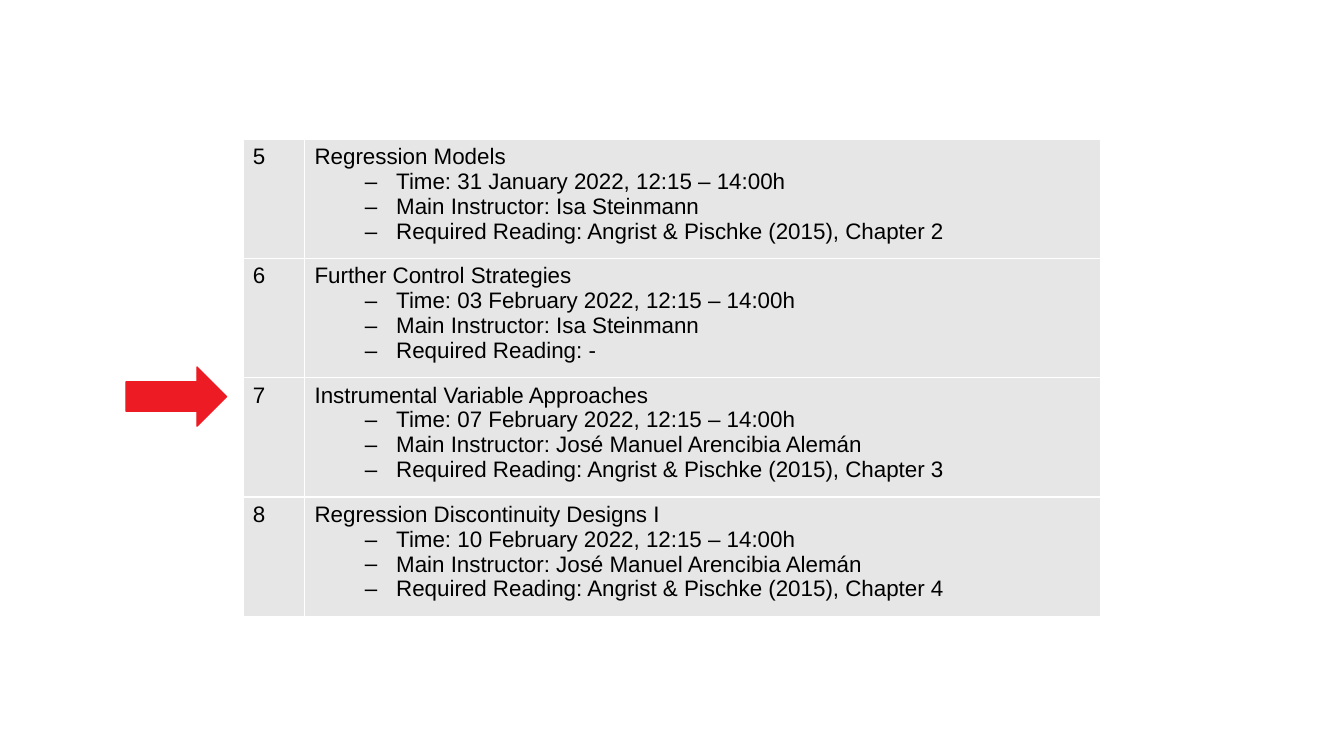
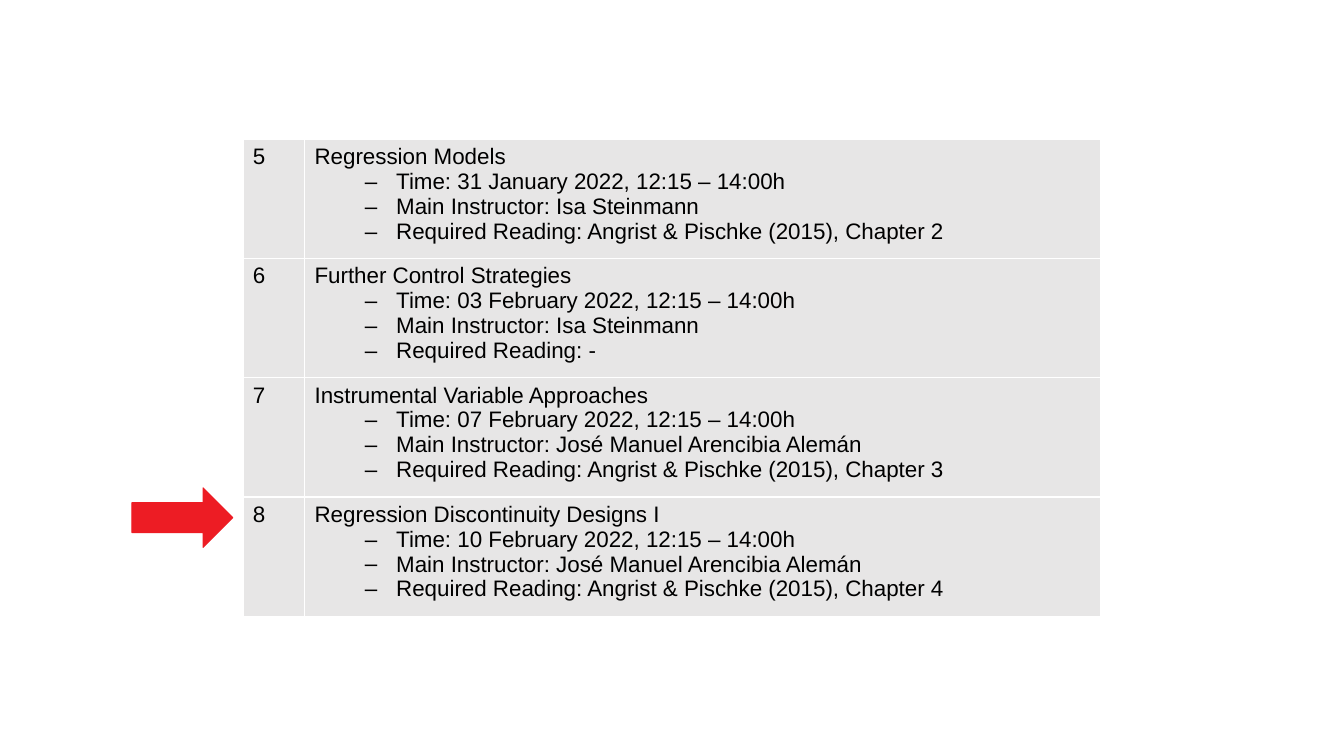
from lxml import etree
from pptx import Presentation
from pptx.dml.color import RGBColor
from pptx.enum.shapes import MSO_SHAPE
from pptx.oxml.ns import qn
from pptx.util import Pt

RIGHT_ARROW = MSO_SHAPE.RIGHT_ARROW

WHITE = RGBColor(0xFF, 0xFF, 0xFF)
BLACK = RGBColor(0x00, 0x00, 0x00)
GREY = RGBColor(0xE7, 0xE6, 0xE6)
RED = RGBColor(0xED, 0x1C, 0x24)

SLIDE_SIZE = (Pt(960), Pt(540))
BLANK_LAYOUT = 6

SESSIONS = [
    ("5", "Regression Models", "31 January", "Isa Steinmann",
     "Angrist & Pischke (2015), Chapter 2"),
    ("6", "Further Control Strategies", "03 February", "Isa Steinmann", "-"),
    ("7", "Instrumental Variable Approaches", "07 February",
     "José Manuel Arencibia Alemán", "Angrist & Pischke (2015), Chapter 3"),
    ("8", "Regression Discontinuity Designs I", "10 February",
     "José Manuel Arencibia Alemán", "Angrist & Pischke (2015), Chapter 4"),
]

CURRENT_SESSION_MARKERS = [(Pt(90), Pt(262)), (Pt(94.3), Pt(348.5))]


class ScheduleDeck:
    text_format = {"name": "Arial", "size": Pt(16)}
    table_flags = {"first_row": False, "horz_banding": False}
    table_origin = (Pt(173.5), Pt(99.5))
    column_widths = (Pt(44), Pt(569))
    row_height = Pt(85.2)
    marker_size = (Pt(72), Pt(42.5))
    marker_line = Pt(0.75)
    border_width = Pt(1)
    detail_indent = {"marL": Pt(58.3), "indent": Pt(-22.3)}

    def __init__(self):
        self.deck = Presentation()
        self.deck.slide_width, self.deck.slide_height = SLIDE_SIZE
        self.slide = None

    def add_slide(self):
        layout = self.deck.slide_layouts[BLANK_LAYOUT]
        self.slide = self.deck.slides.add_slide(layout)
        background = self.slide.background.fill
        background.solid()
        background.fore_color.rgb = WHITE

    def add_marker(self, left, top):
        marker = self.slide.shapes.add_shape(
            RIGHT_ARROW, left, top, *self.marker_size)
        marker.shadow.inherit = False
        marker.fill.solid()
        marker.fill.fore_color.rgb = RED
        marker.line.color.rgb = RED
        marker.line.width = self.marker_line

    def add_schedule(self, sessions):
        schedule = self.slide.shapes.add_table(
            len(sessions), len(self.column_widths), *self.table_origin,
            sum(self.column_widths), self.row_height * len(sessions)).table
        for flag, value in self.table_flags.items():
            setattr(schedule, flag, value)
        for column, width in zip(schedule.columns, self.column_widths):
            column.width = width
        for row, session in zip(schedule.rows, sessions):
            row.height = self.row_height
            number, topic, day, instructor, reading = session
            number_cell, topic_cell = row.cells
            self.fill_cell(number_cell, number)
            self.fill_cell(topic_cell, topic, (
                f"Time: {day} 2022, 12:15 – 14:00h",
                f"Main Instructor: {instructor}",
                f"Required Reading: {reading}",
            ))

    def fill_cell(self, cell, heading, details=()):
        cell.fill.solid()
        cell.fill.fore_color.rgb = GREY
        self.add_borders(cell)
        self.add_text(cell.text_frame.paragraphs[0], heading)
        for detail in details:
            paragraph = cell.text_frame.add_paragraph()
            self.add_text(paragraph, detail)
            self.add_dash(paragraph)

    def add_text(self, paragraph, text):
        run = paragraph.add_run()
        run.text = text
        for attribute, value in self.text_format.items():
            setattr(run.font, attribute, value)
        run.font.color.rgb = BLACK

    def add_dash(self, paragraph):
        paragraph.level = 1
        properties = paragraph._p.get_or_add_pPr()
        for attribute, value in self.detail_indent.items():
            properties.set(attribute, str(int(value)))
        etree.SubElement(properties, qn("a:buFont"), typeface="Arial")
        etree.SubElement(properties, qn("a:buChar"), char="–")

    def add_borders(self, cell):
        properties = cell._tc.get_or_add_tcPr()
        for position, side in enumerate(("lnL", "lnR", "lnT", "lnB")):
            border = etree.Element(
                qn(f"a:{side}"), w=str(int(self.border_width)))
            fill = etree.SubElement(border, qn("a:solidFill"))
            etree.SubElement(fill, qn("a:srgbClr"), val=str(WHITE))
            properties.insert(position, border)

    def save(self):
        self.deck.save("out.pptx")


def main():
    deck = ScheduleDeck()
    for left, top in CURRENT_SESSION_MARKERS:
        deck.add_slide()
        deck.add_marker(left, top)
        deck.add_schedule(SESSIONS)
    deck.save()


if __name__ == "__main__":
    main()
